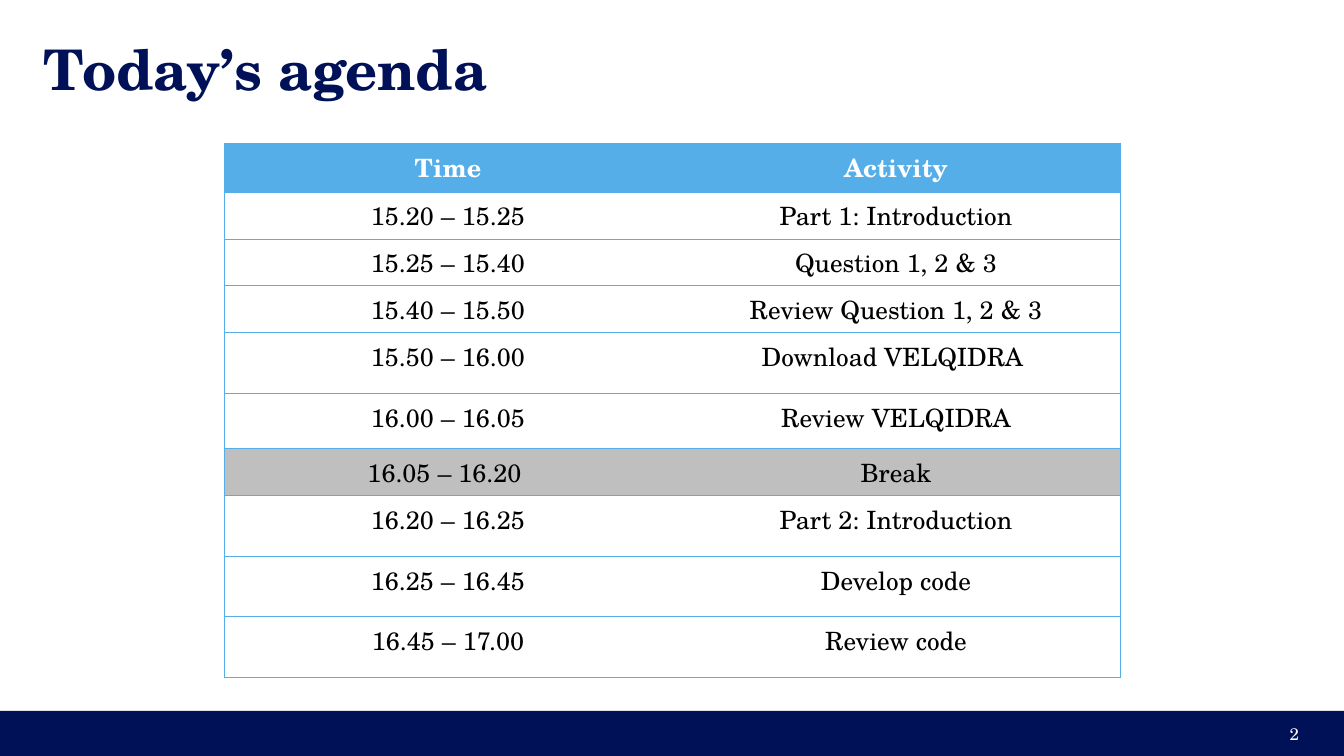
from dataclasses import dataclass
from lxml.etree import SubElement as Sub
from pptx import Presentation
from pptx.dml.color import RGBColor
from pptx.enum.shapes import MSO_SHAPE as Kind
from pptx.enum.text import MSO_ANCHOR as Anchor, PP_ALIGN as Align
from pptx.oxml.ns import qn
from pptx.slide import Slide
from pptx.table import _Cell as Cell
from pptx.util import Pt

SCALE = 9075
WIDTH, HEIGHT = 1344, 756
FONT = "TeX Gyre Schola"
NAVY = RGBColor(0x00, 0x11, 0x58)
SKY = RGBColor(0x56, 0xAE, 0xE9)
GRAY = RGBColor(0xBF, 0xBF, 0xBF)
WHITE = RGBColor(0xFF, 0xFF, 0xFF)
BLACK = RGBColor(0x00, 0x00, 0x00)


@dataclass(frozen=True)
class Style:
    size: int
    color: RGBColor
    bold: bool = False
    align: Align = Align.LEFT


@dataclass(frozen=True)
class Label:
    text: str
    box: tuple[int, int, int, int]
    style: Style
    inset: int


@dataclass(frozen=True)
class Item:
    time: str
    task: str
    height: int
    fill: RGBColor | None = None


HEAD = Style(18, WHITE, True, Align.CENTER)
BODY = Style(18, BLACK, False, Align.CENTER)
LABELS = [
    Label("Today’s agenda", (44, 44, 1256, 48), Style(40, NAVY, True), 0),
    Label("2", (1007, 714, 302, 40), Style(12, WHITE, False, Align.RIGHT), 10),
]
AGENDA = [
    Item("Time", "Activity", 49, SKY),
    Item("15.20 – 15.25", "Part 1: Introduction", 47),
    Item("15.25 – 15.40", "Question 1, 2 & 3", 47),
    Item("15.40 – 15.50", "Review Question 1, 2 & 3", 47),
    Item("15.50 – 16.00", "Download VELQIDRA ", 61),
    Item("16.00 – 16.05", "Review VELQIDRA", 55),
    Item("16.05 – 16.20 ", "Break", 47, GRAY),
    Item("16.20 – 16.25", "Part 2: Introduction", 61),
    Item("16.25 – 16.45", "Develop code", 60),
    Item("16.45 – 17.00", "Review code", 61),
]


def px(size: int) -> int:
    return size * SCALE


def write(frame, text: str, style: Style) -> None:
    para = frame.paragraphs[0]
    para.text = text
    para.alignment = style.align
    font = para.font
    font.name, font.size, font.bold = FONT, Pt(style.size), style.bold
    font.color.rgb = style.color


def add_label(slide: Slide, label: Label) -> None:
    frame = slide.shapes.add_textbox(*map(px, label.box)).text_frame
    frame.word_wrap = True
    frame.vertical_anchor = Anchor.MIDDLE
    frame.margin_left = frame.margin_right = px(label.inset)
    frame.margin_top = frame.margin_bottom = 0
    write(frame, label.text, label.style)


def add_edges(cell: Cell, col: int) -> None:
    props = cell._tc.get_or_add_tcPr()
    inner = "R" if col == 0 else "L"
    for spot, side in enumerate("LRTB"):
        line = Sub(props, qn(f"a:ln{side}"), w=str(Pt(0.75)))
        if side == inner:
            Sub(line, qn("a:noFill"))
        else:
            Sub(Sub(line, qn("a:solidFill")), qn("a:srgbClr"), val=str(SKY))
        props.insert(spot, line)


def add_agenda(slide: Slide, items: list[Item]) -> None:
    tall = sum(item.height for item in items)
    table = slide.shapes.add_table(
        len(items), 2, px(224), px(143), px(896), px(tall)
    ).table
    table.horz_banding = False
    table.first_row = False
    for row, item in enumerate(items):
        table.rows[row].height = px(item.height)
        for col, text in enumerate((item.time, item.task)):
            cell = table.cell(row, col)
            write(cell.text_frame, text, BODY if row else HEAD)
            if item.fill is None:
                cell.fill.background()
            else:
                cell.fill.solid()
                cell.fill.fore_color.rgb = item.fill
            add_edges(cell, col)


def add_footer(slide: Slide) -> None:
    top = 711
    bar = slide.shapes.add_shape(
        Kind.RECTANGLE, 0, px(top), px(WIDTH), px(HEIGHT - top)
    )
    bar.shadow.inherit = False
    bar.fill.solid()
    bar.fill.fore_color.rgb = NAVY
    bar.line.fill.background()


def main() -> None:
    deck = Presentation()
    deck.slide_width, deck.slide_height = px(WIDTH), px(HEIGHT)
    slide = deck.slides.add_slide(deck.slide_layouts[6])
    add_footer(slide)
    for label in LABELS:
        add_label(slide, label)
    add_agenda(slide, AGENDA)
    deck.save("out.pptx")


if __name__ == "__main__":
    main()
